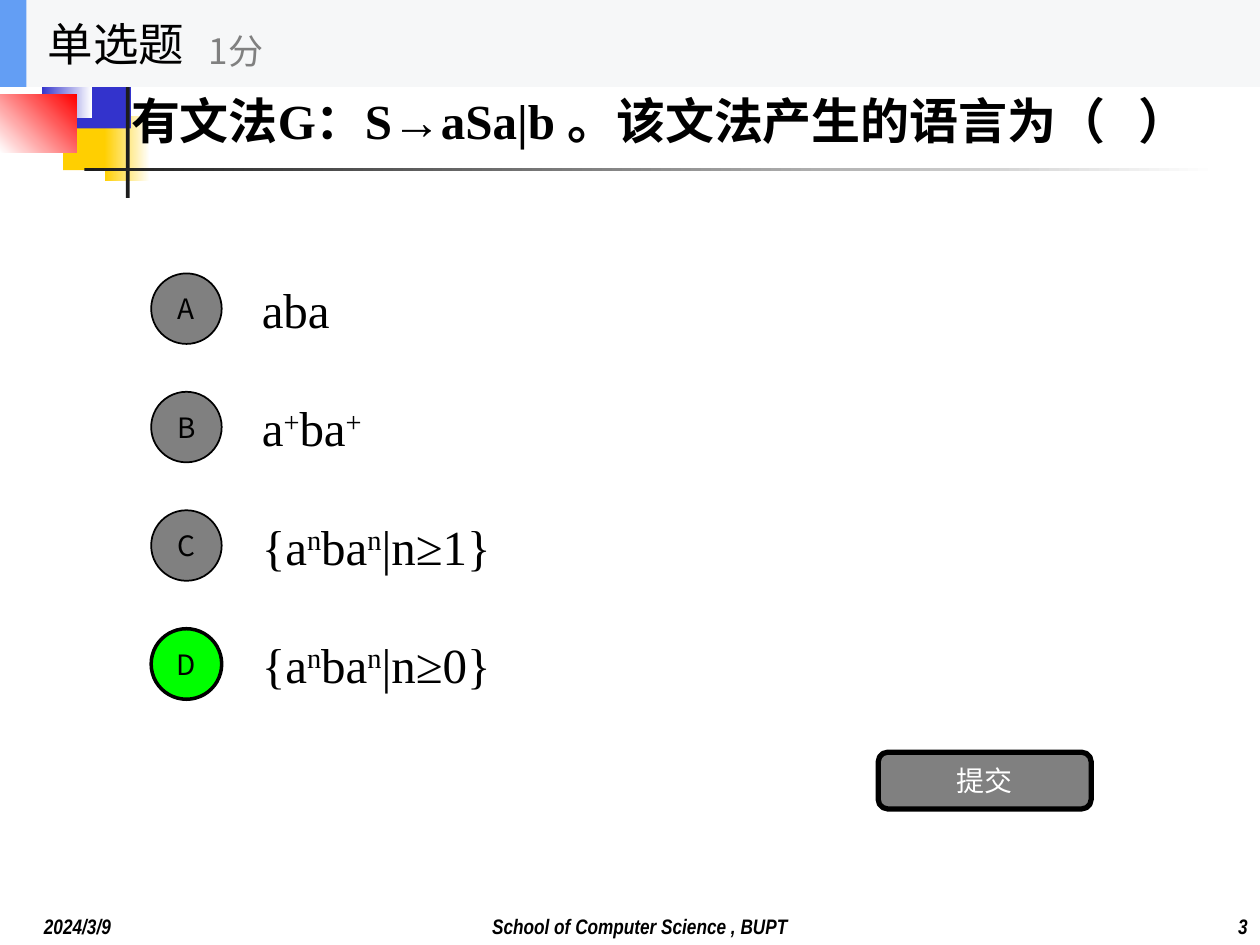
from dataclasses import dataclass

from pptx import Presentation
from pptx.dml.color import RGBColor
from pptx.enum.shapes import MSO_SHAPE
from pptx.enum.text import MSO_ANCHOR, MSO_AUTO_SIZE, PP_ALIGN
from pptx.util import Inches, Pt


@dataclass(frozen=True)
class Theme:
    serif: str = "Times New Roman"
    sans: str = "Noto Sans CJK SC"
    narrow: str = "Arial Narrow"
    black: str = "000000"
    white: str = "FFFFFF"
    gray: str = "808080"
    dark: str = "1C1C1C"
    yellow: str = "FFCF01"
    blue: str = "3333CC"
    red: str = "FF0000"
    green: str = "00FF00"
    band: str = "F6F7F8"
    accent: str = "639EF4"
    body: int = 28
    heading: int = 26
    points: int = 20
    button: int = 16
    footer: int = 12


THEME = Theme()
OPTIONS = [
    ("A", ["aba"]),
    ("B", ["a", "+", "ba", "+"]),
    ("C", ["{a", "n", "ba", "n", "|n≥1}"]),
    ("D", ["{a", "n", "ba", "n", "|n≥0}"]),
]
ANSWER = "D"


def style_run(r, font, size, color=THEME.black, bold=False, italic=False):
    r.font.name = font
    r.font.size = Pt(size)
    r.font.bold = bold
    r.font.italic = italic
    r.font.color.rgb = RGBColor.from_string(color)
    ea = r.font._element.makeelement(
        "{http://schemas.openxmlformats.org/drawingml/2006/main}ea",
        {"typeface": THEME.sans})
    r.font._element.find("{*}latin").addnext(ea)


def add_block(shapes, box, colors, angle=0, kind=MSO_SHAPE.RECTANGLE, line=0):
    """Add a shape filled with one colour, or with a gradient of two."""
    sp = shapes.add_shape(kind, *map(Inches, box))
    sp.shadow.inherit = False
    if len(colors) == 1:
        sp.fill.solid()
        sp.fill.fore_color.rgb = RGBColor.from_string(colors[0])
    else:
        sp.fill.gradient()
        sp.fill.gradient_angle = angle
        for stop, color in zip(sp.fill.gradient_stops, colors):
            stop.color.rgb = RGBColor.from_string(color)
    if line:
        sp.line.color.rgb = RGBColor.from_string(THEME.black)
        sp.line.width = Pt(line)
    else:
        sp.line.fill.background()
    return sp


def add_button(shapes, box, text, kind, fill, line, color):
    sp = add_block(shapes, box, [fill], kind=kind, line=line)
    tf = sp.text_frame
    tf.margin_left = tf.margin_right = tf.margin_top = tf.margin_bottom = 0
    tf.vertical_anchor = MSO_ANCHOR.MIDDLE
    tf.text = text
    p = tf.paragraphs[0]
    p.alignment = PP_ALIGN.CENTER
    style_run(p.runs[0], THEME.sans, THEME.button, color)


def add_text(shapes, box, parts, font, size, color=THEME.black,
             align=PP_ALIGN.LEFT, anchor=MSO_ANCHOR.MIDDLE, emphasis=False):
    """Add a text box; every second part is set as superscript."""
    tf = shapes.add_textbox(*map(Inches, box)).text_frame
    tf.word_wrap = True
    tf.vertical_anchor = anchor
    p = tf.paragraphs[0]
    p.alignment = align
    for i, part in enumerate(parts):
        r = p.add_run()
        r.text = part
        style_run(r, font, size, color, emphasis, emphasis)
        if i % 2:
            r.font._element.set("baseline", "30000")
    return p


def add_decoration(shapes):
    t = THEME
    add_block(shapes, (0.5, 0.83, 0.48, 0.52), [t.yellow])
    add_block(shapes, (0.83, 0.92, 0.36, 0.52), [t.yellow, t.white])
    add_block(shapes, (0.58, 0.5, 0.46, 0.52), [t.blue])
    add_block(shapes, (0.33, 0.42, 0.4, 0.52), [t.blue, t.white])
    add_block(shapes, (0, 0.75, 0.61, 0.46), [t.white, t.red], angle=45)
    add_block(shapes, (1, 0.42, 0.03, 1.15), [t.dark])
    add_block(shapes, (0.67, 1.33, 9, 0.03), [t.dark, t.white])


def add_question(s, text):
    title = s.shapes.title
    title.left, title.top = Inches(0.94), Inches(0.4)
    title.width, title.height = Inches(9.06), Inches(1.1)
    tf = title.text_frame
    tf.text = text
    tf.word_wrap = True
    tf.auto_size = MSO_AUTO_SIZE.NONE
    tf.vertical_anchor = MSO_ANCHOR.MIDDLE
    p = tf.paragraphs[0]
    p.alignment = PP_ALIGN.LEFT
    style_run(p.runs[0], THEME.serif, THEME.body, bold=True)
    # Bring the question in front of the decoration
    s.shapes._spTree.append(title._element)


def add_options(shapes):
    top, pitch = 2.1, 0.94
    for i, (letter, parts) in enumerate(OPTIONS):
        y = top + i * pitch
        right = letter == ANSWER
        add_text(shapes, (1.98, y, 7, 0.7), parts, THEME.serif, THEME.body)
        add_button(shapes, (1.2, y + 0.07, 0.56, 0.56), letter, MSO_SHAPE.OVAL,
                   THEME.green if right else THEME.gray, 2 if right else 1,
                   THEME.black)


def add_footer(shapes):
    for box, text, align in [
        ((0.25, 7, 1.58, 0.5), "2024/3/9", PP_ALIGN.LEFT),
        ((1.58, 7, 7, 0.5), "School of Computer Science , BUPT", PP_ALIGN.CENTER),
        ((8.33, 7, 1.67, 0.5), "3", PP_ALIGN.RIGHT),
    ]:
        p = add_text(shapes, box, [text], THEME.narrow, THEME.footer, align=align,
                     anchor=MSO_ANCHOR.BOTTOM, emphasis=True)
        if align == PP_ALIGN.CENTER:
            p.line_spacing = 1.1


def add_header(shapes):
    group = shapes.add_group_shape().shapes
    add_block(group, (0, 0, 10, 0.69), [THEME.band])
    add_block(group, (0, 0, 0.21, 0.69), [THEME.accent])
    add_text(group, (0.28, 0, 2.08, 0.69), ["单选题"], THEME.sans, THEME.heading)
    add_text(group, (1.56, 0.12, 2.5, 0.56), ["1分"], THEME.sans, THEME.points,
             THEME.gray)


def main():
    prs = Presentation()
    prs.slide_width, prs.slide_height = Inches(10), Inches(7.5)
    s = prs.slides.add_slide(prs.slide_layouts[5])
    add_decoration(s.shapes)
    add_question(s, "有文法G：S→aSa|b 。该文法产生的语言为（   ）")
    add_footer(s.shapes)
    add_button(s.shapes, (6.97, 5.97, 1.69, 0.45), "提交",
               MSO_SHAPE.ROUNDED_RECTANGLE, THEME.gray, 3, THEME.white)
    add_options(s.shapes)
    add_header(s.shapes)
    prs.save("out.pptx")


if __name__ == "__main__":
    main()
